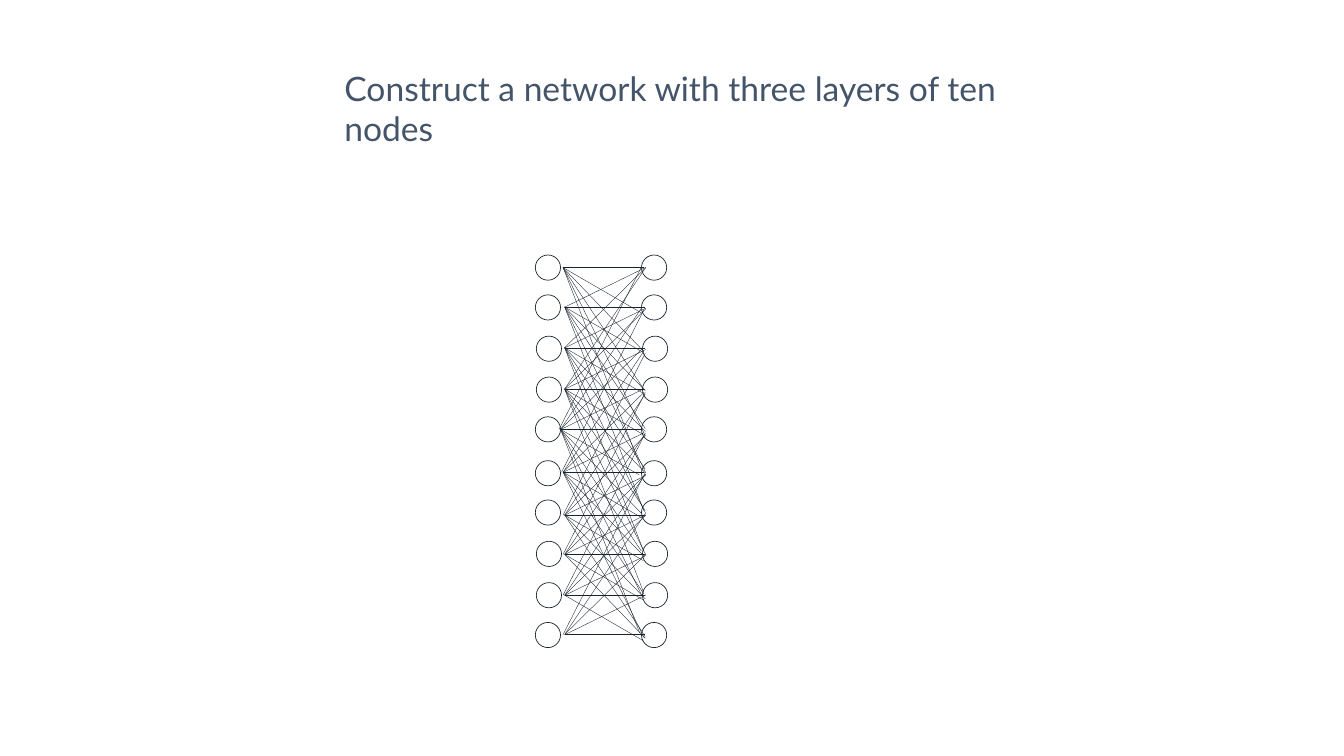
"""Build a slide with two layers of ten nodes joined by fans of lines."""
from dataclasses import dataclass

from lxml import etree
from pptx import Presentation
from pptx.dml.color import RGBColor
from pptx.enum import shapes, text
from pptx.oxml import ns
from pptx.util import Pt

INK, WHITE, HEADING = "19232E", "FFFFFF", "445469"
FONT = "Lato"
DIAMETER = 36
LAYER_GAP = 151.6


@dataclass(frozen=True)
class Node:
    x: float
    y: float
    fan_x: float
    fan_y: float


@dataclass(frozen=True)
class Ray:
    step: int
    start_dx: float
    end_dx: float
    end_dy: float


NODES = [
    Node(764.6, 364.3, 804.2, 382.3),
    Node(764.6, 421.2, 806.4, 438.5),
    Node(766, 480.2, 806.4, 496.8),
    Node(766, 538.6, 806.4, 555.8),
    Node(764.6, 595.4, 800.6, 613.4),
    Node(764.6, 658.1, 804.2, 674.6),
    Node(764.6, 714.2, 806.4, 735.8),
    Node(766, 773.3, 806.4, 792),
    Node(766, 832.3, 806.4, 850.3),
    Node(764.6, 889.2, 806.4, 906.5),
]

RAYS = [
    Ray(-4, -2.2, 115.2, -231.3),
    Ray(-3, 0, 115.2, -172.8),
    Ray(-2, 0, 115.9, -114.5),
    Ray(-1, 0.7, 115.9, -56.5),
    Ray(0, 0, 115.2, 0),
    Ray(1, 0, 112.3, 65),
    Ray(2, 0, 115.2, 119.7),
    Ray(3, 0, 115.2, 173.7),
    Ray(4, 0, 115.9, 236.9),
    Ray(5, 0, 113, 290.8),
]


def colour(target, value: str) -> None:
    target.rgb = RGBColor.from_string(value)


def write(tf, content: str, *, size: float, font: str, color: str, align) -> None:
    p = tf.paragraphs[0]
    p.alignment = align
    r = p.add_run()
    r.text = content
    r.font.size, r.font.name = Pt(size), font
    colour(r.font.color, color)


def draw_title(s, content: str) -> None:
    sp = s.shapes.title
    sp.left, sp.top, sp.width, sp.height = Pt(484.6), Pt(93.6), Pt(991.4), Pt(65.5)
    tf = sp.text_frame
    tf.word_wrap = True
    tf.auto_size = text.MSO_AUTO_SIZE.SHAPE_TO_FIT_TEXT
    tf.vertical_anchor = text.MSO_ANCHOR.TOP
    write(tf, content, size=48, font=FONT, color=HEADING, align=text.PP_ALIGN.LEFT)


def draw_node(s, x: float, y: float) -> None:
    sp = s.shapes.add_shape(
        shapes.MSO_SHAPE.OVAL, Pt(x), Pt(y), Pt(DIAMETER), Pt(DIAMETER))
    sp.shadow.inherit = False
    sp.fill.solid()
    colour(sp.fill.fore_color, WHITE)
    colour(sp.line.color, INK)
    sp.line.width = Pt(1)


def draw_ray(s, node: Node, ray: Ray) -> None:
    line = s.shapes.add_connector(
        shapes.MSO_CONNECTOR.STRAIGHT,
        Pt(node.fan_x + ray.start_dx), Pt(node.fan_y),
        Pt(node.fan_x + ray.end_dx), Pt(node.fan_y + ray.end_dy))
    colour(line.line.color, INK)
    line.line.width = Pt(0.5)
    etree.SubElement(line._element.spPr, ns.qn("a:effectLst"))


def main() -> None:
    prs = Presentation()
    prs.slide_width, prs.slide_height = Pt(1919.52), Pt(1080)
    s = prs.slides.add_slide(prs.slide_layouts[5])
    draw_title(s, "Construct a network with three layers of ten nodes")
    for dx in (0, LAYER_GAP):
        for node in NODES:
            draw_node(s, node.x + dx, node.y)
    for i, node in enumerate(NODES):
        for ray in RAYS:
            if 0 <= i + ray.step < len(NODES):
                draw_ray(s, node, ray)
    prs.save("out.pptx")


if __name__ == "__main__":
    main()
